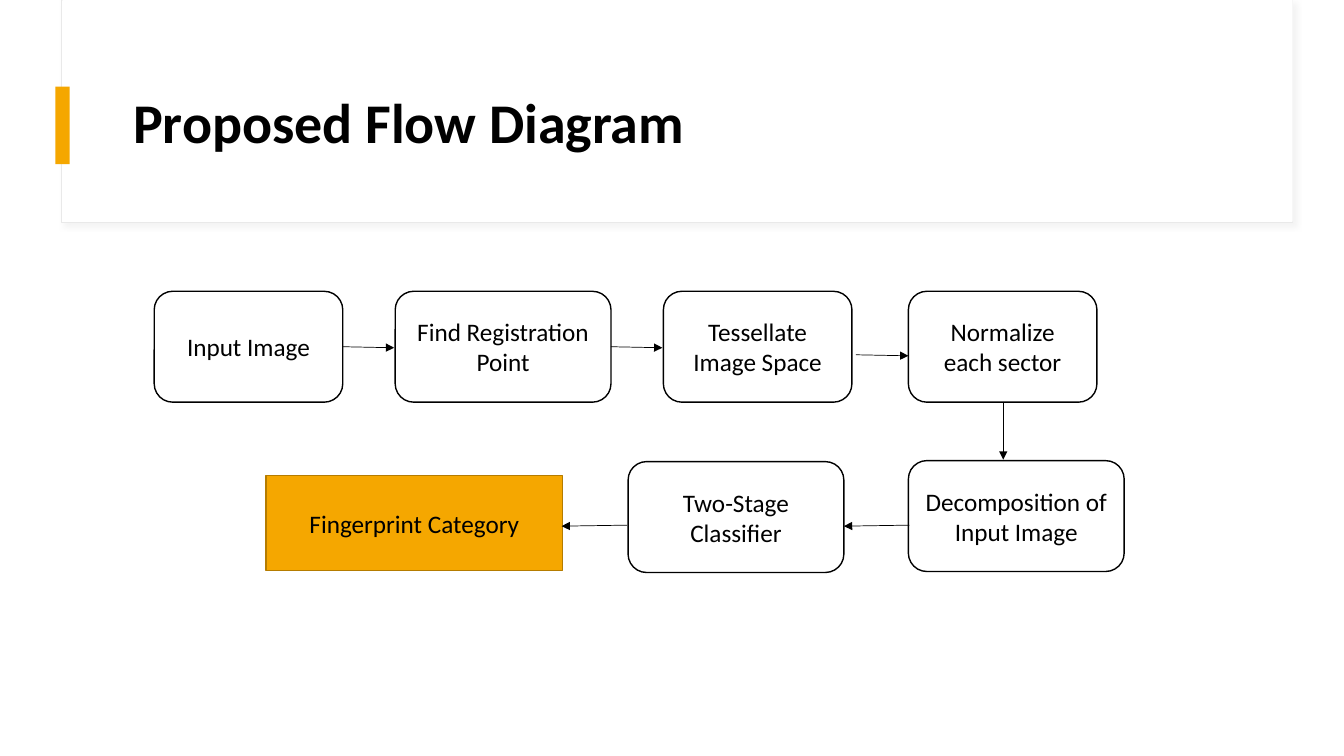
from pptx import Presentation
from pptx.dml.color import RGBColor
from pptx.enum.shapes import MSO_CONNECTOR as Connector, MSO_SHAPE as Shape
from pptx.enum.text import MSO_ANCHOR as Anchor, PP_ALIGN as Align
from pptx.oxml import parse_xml
from pptx.oxml.ns import nsdecls
from pptx.util import Inches, Pt

BLACK, WHITE, AMBER = "000000", "FFFFFF", "F5A700"
AMBER_EDGE, PANEL_EDGE, SHADOW = "B57C00", "E9E9E9", "D9D9D9"


def color(hex_text):
    """Turn a hex string into a colour."""
    return RGBColor.from_string(hex_text)


def drawing(tag, attributes="", content=""):
    """Make one DrawingML element."""
    return parse_xml(f'<a:{tag} {nsdecls("a")} {attributes}>{content}</a:{tag}>')


class FlowSlide:
    """Holds the style and the current slide."""

    font = "Calibri"

    def __init__(self, deck):
        """Add a slide that has only a title."""
        self.slide = deck.slides.add_slide(deck.slide_layouts[5])

    def add_text(self, frame, text, size, align, bold=False):
        """Put one run into a text frame, centred vertically."""
        frame.word_wrap = True
        frame.vertical_anchor = Anchor.MIDDLE
        para = frame.paragraphs[0]
        para.alignment = align
        span = para.add_run()
        span.text = text
        span.font.name, span.font.size, span.font.bold = self.font, Pt(size), bold
        span.font.color.rgb = color(BLACK)
        return para

    def title(self, text, place):
        """Fill the title placeholder and bring it to the front."""
        title = self.slide.shapes.title
        title.left, title.top, title.width, title.height = map(Inches, place)
        para = self.add_text(title.text_frame, text, 40, Align.LEFT, True)
        para.line_spacing = 0.9
        self.slide.shapes._spTree.append(title._element)

    def box(self, place, fill=WHITE, edge=None, weight=1, kind=Shape.RECTANGLE, text=None):
        """Draw a filled shape, with an edge and a label if given."""
        box = self.slide.shapes.add_shape(kind, *map(Inches, place))
        box.shadow.inherit = False
        box.fill.solid()
        box.fill.fore_color.rgb = color(fill)
        if edge:
            box.line.color.rgb = color(edge)
            box.line.width = Pt(weight)
        else:
            box.line.fill.background()
        if text:
            self.add_text(box.text_frame, text, 18, Align.CENTER)
        return box

    def panel(self, place):
        """Draw the header panel with a soft shadow."""
        panel = self.box(place, edge=PANEL_EDGE, weight=0.75)
        tint = f'<a:srgbClr val="{SHADOW}"><a:alpha val="30000"/></a:srgbClr>'
        size = f'blurRad="{Pt(4)}" dist="{Pt(3)}" dir="{45 * 60000}" rotWithShape="0"'
        effects = panel._element.spPr.find(drawing("effectLst").tag)
        effects.append(drawing("outerShdw", size, tint))

    def arrow(self, start, end):
        """Draw a thin arrow from start to end."""
        arrow = self.slide.shapes.add_connector(
            Connector.STRAIGHT, *map(Inches, (*start, *end)))
        arrow.line.color.rgb = color(BLACK)
        arrow.line.width = Pt(0.5)
        arrow.line._get_or_add_ln().append(drawing("tailEnd", 'type="triangle"'))
        arrow._element.spPr.append(drawing("effectLst"))


deck = Presentation()
deck.slide_width, deck.slide_height = Inches(13.33), Inches(7.5)
flow = FlowSlide(deck)

flow.panel((0.61, 0, 12.21, 2.21))
flow.box((0.62, 0, 12.2, 2.2))
flow.box((0.55, 0.86, 0.14, 0.77), AMBER)
flow.title("Proposed Flow Diagram", (1.22, 0.6, 11.12, 1.29))

NARROW, WIDE, STEP_HEIGHT = 1.87, 2.14, 1.1
STEPS = [
    ("Input Image", 1.53, 2.89, NARROW),
    ("Find Registration Point", 3.92, 2.89, WIDE),
    ("Tessellate Image Space", 6.58, 2.89, NARROW),
    ("Normalize each sector", 9.01, 2.89, NARROW),
    ("Decomposition of Input Image", 9.01, 4.57, WIDE),
    ("Two-Stage Classifier", 6.23, 4.58, WIDE),
]
for text, left, top, width in STEPS:
    flow.box((left, top, width, STEP_HEIGHT), edge=BLACK,
             kind=Shape.ROUNDED_RECTANGLE, text=text)
flow.box((2.64, 4.72, 2.94, 0.94), AMBER, AMBER_EDGE, text="Fingerprint Category")

ARROWS = [
    ((3.4, 3.44), (3.91, 3.45)),
    ((6.06, 3.44), (6.57, 3.45)),
    ((8.49, 3.52), (9.01, 3.53)),
    ((9.95, 3.99), (9.95, 4.56)),
    ((9.02, 5.21), (8.37, 5.22)),
    ((6.22, 5.21), (5.57, 5.22)),
]
for start, end in ARROWS:
    flow.arrow(start, end)

deck.save("out.pptx")
